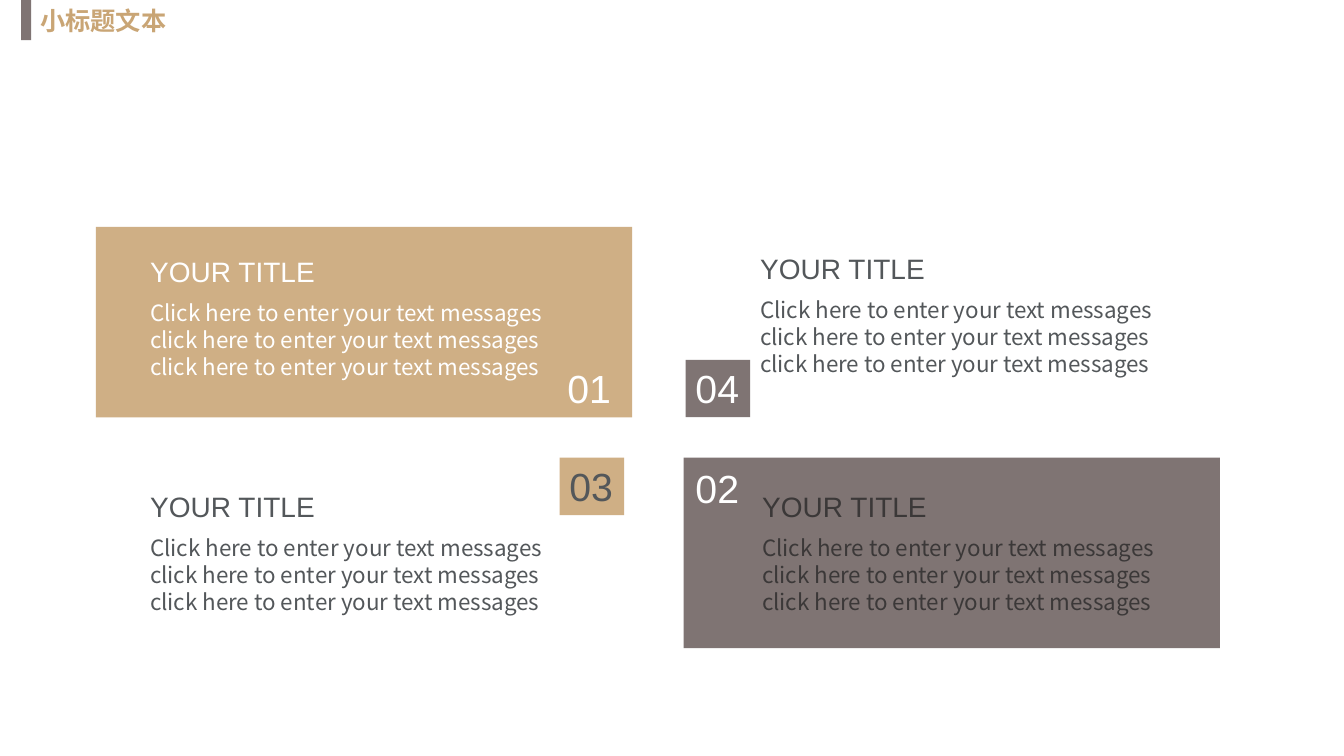
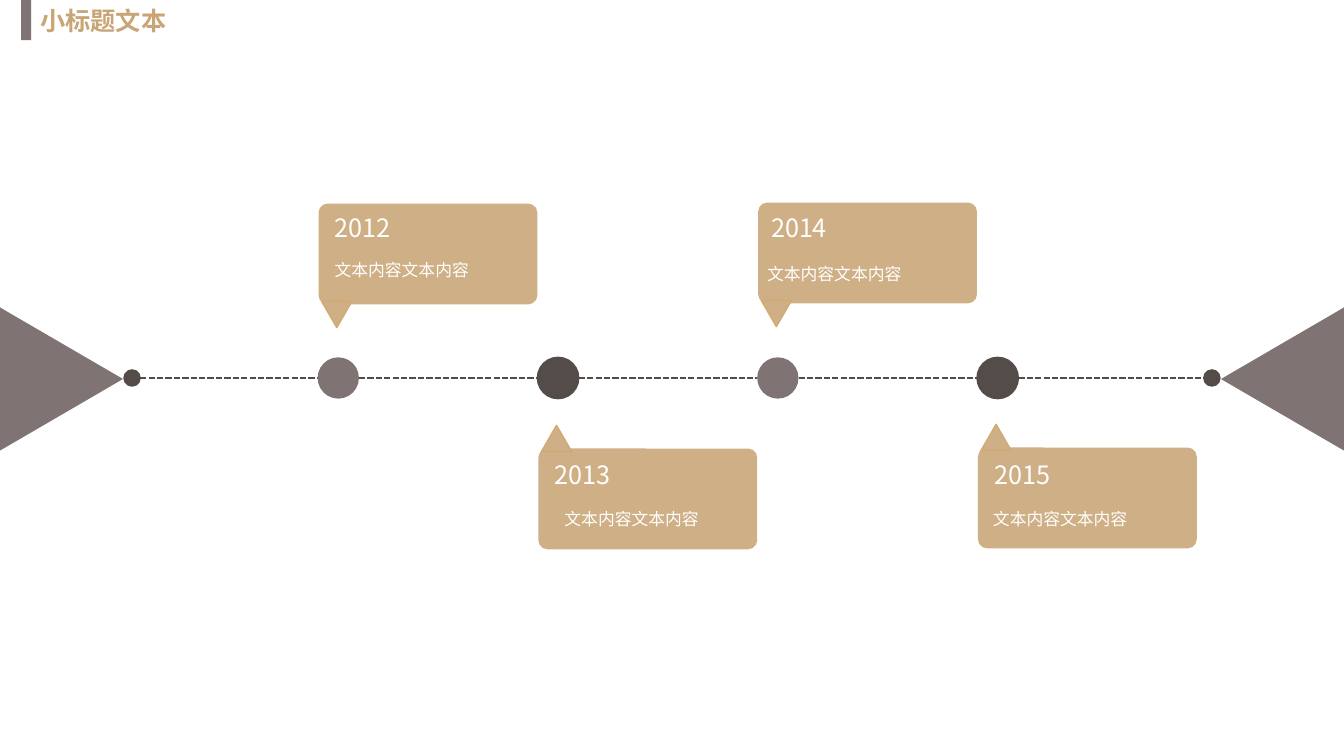
"""Builds two slides: four numbered text panels and a year timeline."""
from lxml import etree
from pptx import Presentation
from pptx.dml.color import RGBColor
from pptx.enum.dml import MSO_LINE
from pptx.enum.shapes import MSO_CONNECTOR, MSO_SHAPE as SHAPE
from pptx.enum.text import MSO_ANCHOR, MSO_AUTO_SIZE as FIT, PP_ALIGN as ALIGN
from pptx.oxml.ns import qn
from pptx.util import Inches, Pt

TAN = RGBColor(0xCF, 0xAF, 0x85)
TAN_EDGE = RGBColor(0xD1, 0xAA, 0x73)
GOLD = RGBColor(0xC9, 0xA5, 0x75)
TAUPE = RGBColor(0x7F, 0x74, 0x73)
BROWN = RGBColor(0x53, 0x4C, 0x49)
SLATE = RGBColor(0x53, 0x57, 0x5A)
CHARCOAL = RGBColor(0x3B, 0x38, 0x38)
WHITE = RGBColor(0xFF, 0xFF, 0xFF)
LATIN, CJK = "Arial", "Noto Sans CJK SC"

WIDTH, HEIGHT = 13.33, 7.5
HEADING = "小标题文本"
PANEL_TITLE = "YOUR TITLE"
PANEL_BODY = ("Click here to enter your text messages "
              "click here to enter your text messages "
              "click here to enter your text messages")
PANELS = [(0.95, 2.25, TAN), (6.78, 4.54, TAUPE)]
NUMBERS = [
    ("01", 5.53, 3.57, None, WHITE),
    ("02", 6.8, 4.56, None, WHITE),
    ("04", 6.8, 3.57, TAUPE, WHITE),
    ("03", 5.55, 4.54, TAN, SLATE),
]
PANEL_TEXTS = [
    (7.46, 4.81, CHARCOAL),
    (7.44, 2.45, SLATE),
    (1.39, 2.48, WHITE),
    (1.39, 4.81, SLATE),
]

CARD_TEXT = "文本内容文本内容"
MILESTONES = [
    dict(year="2012", above=True, top=2.02, year_at=(3.2, 2.06), text_at=(3.22, 2.53)),
    dict(year="2013", above=False, top=4.45, year_at=(5.38, 4.51), text_at=(5.5, 5)),
    dict(year="2014", above=True, top=2.01, year_at=(7.53, 2.06), text_at=(7.51, 2.57)),
    dict(year="2015", above=False, top=4.44, year_at=(9.75, 4.51), text_at=(9.75, 5)),
]
AXIS = HEIGHT / 2
FIRST_DOT, PITCH, DOT = 3.15, 2.18, 0.41
END_DOTS, END_DOT = (1.23, 11.94), 0.16
ARROW_BASE, ARROW_DEPTH = 1.42, 1.22


def write(sp, text, size, color, font=CJK, bold=None, align=None, wrap=False, fit=FIT.SHAPE_TO_FIT_TEXT):
    """Put one formatted paragraph in a shape."""
    tf = sp.text_frame
    tf.word_wrap, tf.auto_size, tf.vertical_anchor = wrap, fit, MSO_ANCHOR.TOP
    p = tf.paragraphs[0]
    p.alignment = align or ALIGN.LEFT
    r = p.add_run()
    r.text = text
    r.font.size, r.font.name, r.font.bold = Pt(size), font, bold
    r.font.color.rgb = color
    etree.SubElement(r.font._element, qn("a:ea"), typeface=CJK)


def add_text(slide, box, text, size, color, **fmt):
    """Add a text box."""
    write(slide.shapes.add_textbox(*map(Inches, box)), text, size, color, **fmt)


def add_block(slide, kind, box, fill, line=None, rotation=0):
    """Add a flat preset shape."""
    sp = slide.shapes.add_shape(kind, *map(Inches, box))
    sp.shadow.inherit = False
    sp.rotation = rotation
    sp.fill.solid()
    sp.fill.fore_color.rgb = fill
    if line is None:
        sp.line.fill.background()
    else:
        sp.line.color.rgb, sp.line.width = line, Pt(1)
    return sp


def add_dash(slide, x1, x2):
    """Add one dashed stretch of the timeline."""
    ends = map(Inches, (x1, AXIS, x2, AXIS))
    line = slide.shapes.add_connector(MSO_CONNECTOR.STRAIGHT, *ends)
    line.line.color.rgb, line.line.width = BROWN, Pt(1.5)
    line.line.dash_style = MSO_LINE.SQUARE_DOT
    etree.SubElement(line._element.spPr, qn("a:effectLst"))


def add_slide(prs):
    """Add a slide with the shared heading and its bar."""
    slide = prs.slides.add_slide(prs.slide_layouts[5])
    title = slide.shapes.title
    title.left, title.top, title.width, title.height = map(Inches, (0.3, 0, 2.21, 0.4))
    write(title, HEADING, 18, GOLD, font=LATIN, bold=True, align=ALIGN.JUSTIFY, wrap=True, fit=FIT.NONE)
    add_block(slide, SHAPE.RECTANGLE, (0.21, 0, 0.1, 0.4), TAUPE)
    return slide


def build_panels(slide):
    """Draw the four numbered texts."""
    for x, y, fill in PANELS:
        add_block(slide, SHAPE.RECTANGLE, (x, y, 5.32, 1.89), fill)
    for number, x, y, fill, color in NUMBERS:
        box = (x, y, 0.64, 0.57)
        if fill is None:
            add_text(slide, box, number, 28, color, font=LATIN)
        else:
            write(add_block(slide, SHAPE.RECTANGLE, box, fill), number, 28, color, font=LATIN)
    for x, y, color in PANEL_TEXTS:
        add_text(slide, (x, y, 1.85, 0.44), PANEL_TITLE, 20, color, font=LATIN)
        add_text(slide, (x, y + 0.44, 4.48, 0.91), PANEL_BODY, 16, color, wrap=True)


def build_timeline(slide):
    """Draw the axis, its dots and the year cards."""
    dots = [FIRST_DOT + i * PITCH for i in range(len(MILESTONES))]
    starts = [END_DOTS[0] + END_DOT] + [x + DOT for x in dots]
    for x1, x2 in zip(starts, dots + [END_DOTS[1]]):
        add_dash(slide, x1, x2)
    for x in END_DOTS:
        add_block(slide, SHAPE.OVAL, (x, AXIS - END_DOT / 2, END_DOT, END_DOT), BROWN, BROWN)
    for center, turn in ((ARROW_DEPTH / 2, 90), (WIDTH - ARROW_DEPTH / 2, 270)):
        box = (center - ARROW_BASE / 2, 3.15, ARROW_BASE, ARROW_DEPTH)
        add_block(slide, SHAPE.ISOSCELES_TRIANGLE, box, TAUPE, rotation=turn)
    for x, m in zip(dots, MILESTONES):
        above, top = m["above"], m["top"]
        fill, line = (TAUPE, None) if above else (BROWN, BROWN)
        add_block(slide, SHAPE.OVAL, (x, AXIS - DOT / 2, DOT, DOT), fill, line)
        card = add_block(slide, SHAPE.ROUNDED_RECTANGLE, (x + 0.01, top, 2.17, 1), TAN)
        card.adjustments[0] = 0.09
        tail = (x + 0.04, top + (0.97 if above else -0.23), 0.3, 0.26)
        add_block(slide, SHAPE.ISOSCELES_TRIANGLE, tail, TAN, TAN_EDGE, 180 if above else 0)
        add_text(slide, (*m["year_at"], 0.79, 0.4), m["year"], 18, WHITE, align=ALIGN.CENTER)
        add_text(slide, (*m["text_at"], 1.81, 0.5), CARD_TEXT, 12, WHITE, wrap=True)


def main():
    """Build and save the slides."""
    prs = Presentation()
    prs.slide_width, prs.slide_height = Inches(WIDTH), Inches(HEIGHT)
    build_panels(add_slide(prs))
    build_timeline(add_slide(prs))
    prs.save("out.pptx")


if __name__ == "__main__":
    main()
